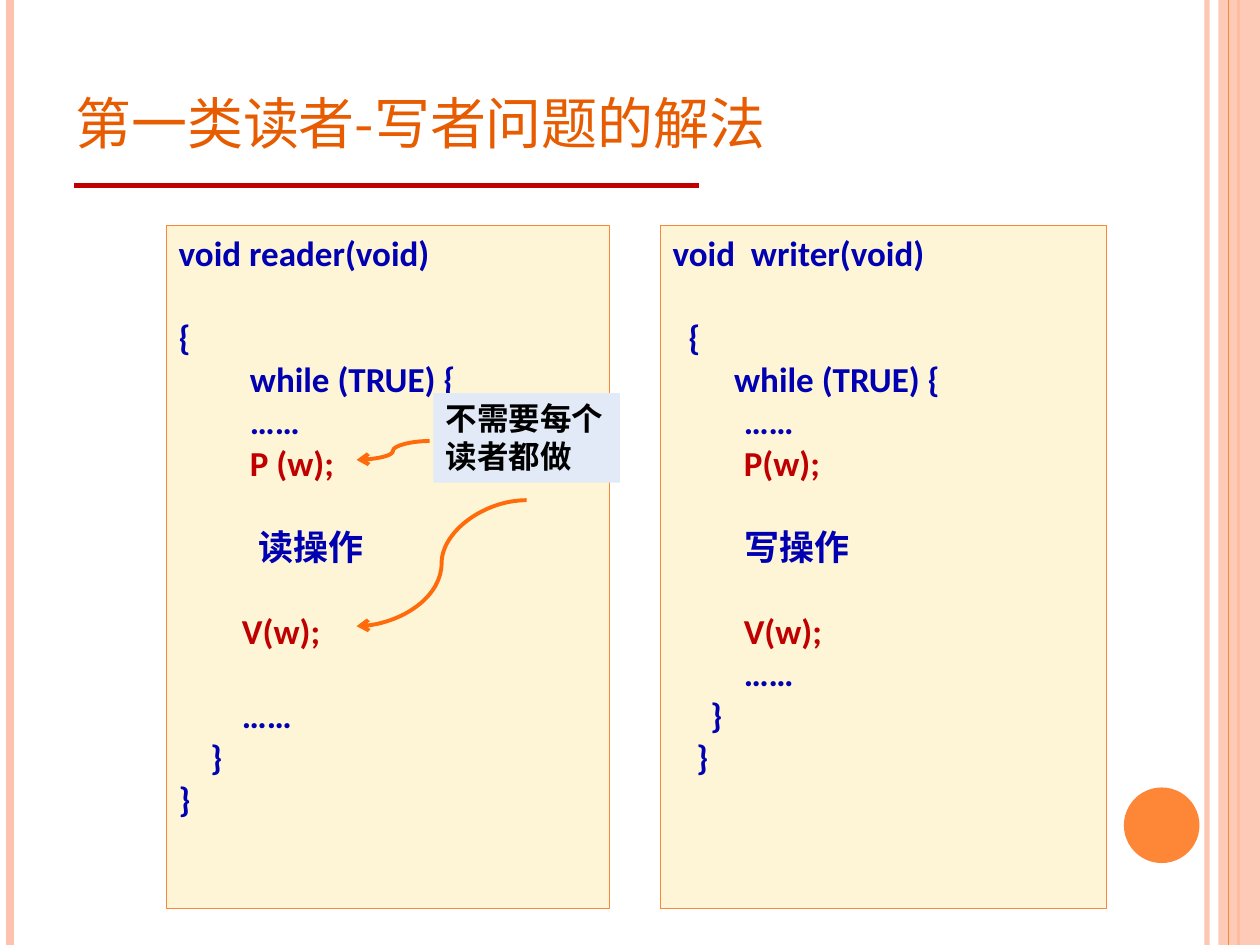
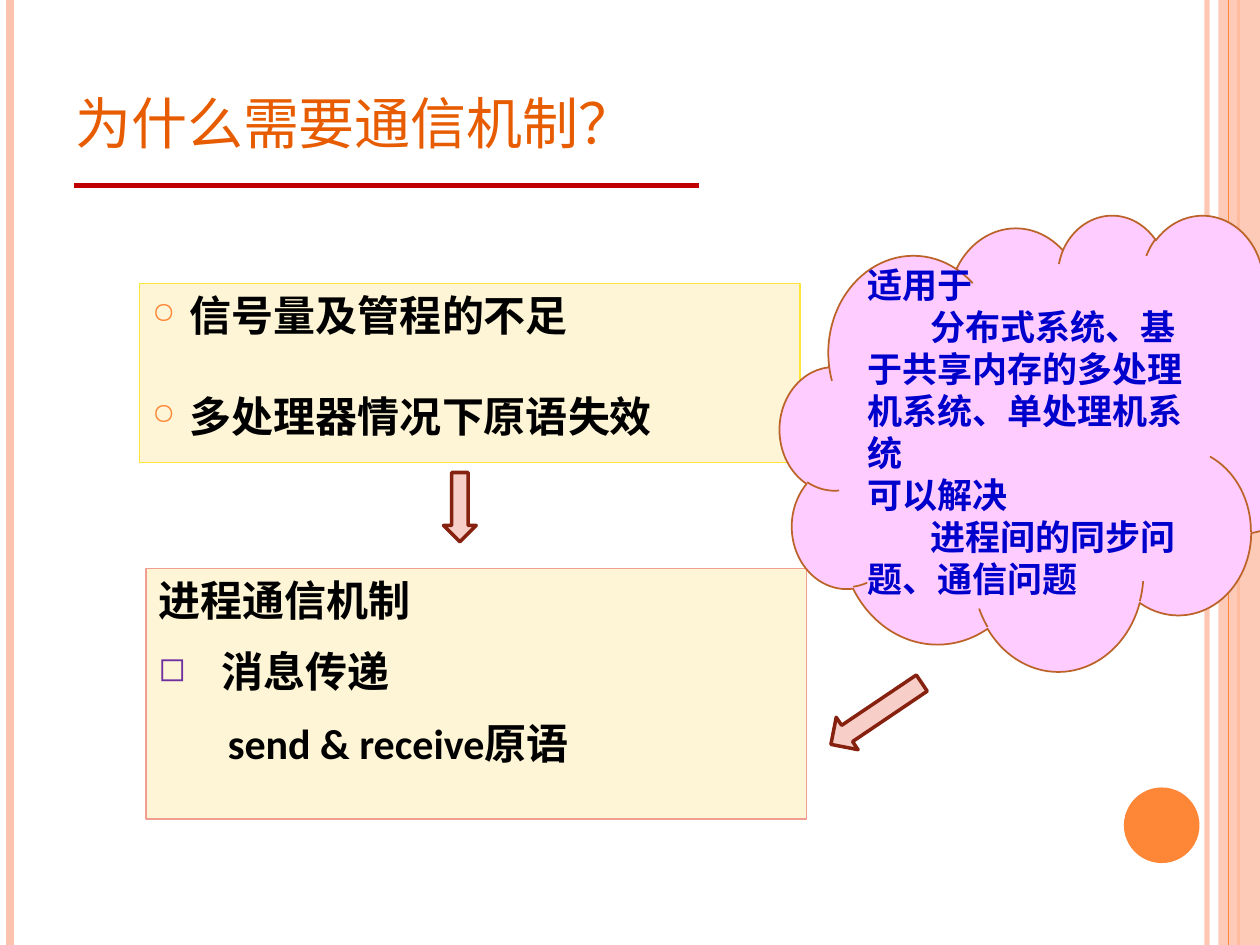
from pptx import Presentation
from pptx.dml.color import RGBColor
from pptx.enum.shapes import MSO_CONNECTOR as Link, MSO_SHAPE as Kind
from pptx.enum.text import MSO_ANCHOR as Anchor, PP_ALIGN as Align
from pptx.oxml.ns import qn
from pptx.util import Inches, Pt
from lxml.etree import SubElement

ORANGE = RGBColor(0xFE, 0x86, 0x37)
PEACH = RGBColor(0xFE, 0xC3, 0xAE)
RUST = RGBColor(0xE7, 0x5C, 0x01)
RED = RGBColor(0xC0, 0x00, 0x00)
NAVY = RGBColor(0x00, 0x00, 0xB2)
BLUE = RGBColor(0x00, 0x00, 0xCC)
BLACK = RGBColor(0x00, 0x00, 0x00)
CREAM = RGBColor(0xFD, 0xF5, 0xD5)
ICE = RGBColor(0xE3, 0xEA, 0xF7)
YELLOW = RGBColor(0xFF, 0xE6, 0x36)
ROSE = RGBColor(0xF1, 0x9E, 0x91)
BLUSH = RGBColor(0xF8, 0xCF, 0xC8)
MAROON = RGBColor(0x86, 0x21, 0x10)
PINK = RGBColor(0xFF, 0xCC, 0xFF)
BROWN = RGBColor(0xBC, 0x63, 0x29)
FLAME = RGBColor(0xFF, 0x6B, 0x0A)
PURPLE = RGBColor(0x70, 0x30, 0xA0)

LATIN, HAN = "Calibri", "Noto Sans CJK SC"
LEAD = 1.2  # line pitch as a multiple of the text size

READER = """void reader(void)

{
         while (TRUE) {
         ……
         P (w);

          读操作

        V(w);

        ……
    }
}"""

WRITER = """void  writer(void)

  {
\t   while (TRUE) {
         ……
         P(w);

         写操作

         V(w);
         ……
\t}
   }"""


def fade(fill, share):
    """Make a solid fill opaque by the given percentage."""
    color = fill._xPr.find(qn("a:solidFill"))[0]
    SubElement(color, qn("a:alpha"), val=str(share * 1000))


class Deck:
    def __init__(self):
        self.prs = Presentation()
        self.prs.slide_width, self.prs.slide_height = Inches(10), Inches(7.5)
        self.slide = None

    def page(self, title):
        """Start a slide with its title, rule and side bands."""
        self.slide = self.prs.slides.add_slide(self.prs.slide_layouts[5])
        for x, color, width, share in ((9.58, PEACH, 3, 93), (0.08, PEACH, 4.5, 100),
                                       (9.83, ORANGE, 1.5, 100)):
            line = self.line((x, 0), (x, 7.5), color, width)
            fade(line.line.fill, share)
        band = self.shape(Kind.RECTANGLE, (9.67, 0, 0.33, 7.5), PEACH)
        fade(band.fill, 87)
        self.line((9.75, 0), (9.75, 7.5), ORANGE, 0.75)
        self.shape(Kind.OVAL, (8.92, 6.25, 0.6, 0.6), ORANGE)
        self.line((0.59, 1.47), (5.55, 1.47), RED, 3)
        self.title(title)

    def title(self, text):
        head = self.slide.shapes.title
        head.left, head.top = Inches(0.5), Inches(0.3)
        head.width, head.height = Inches(8.17), Inches(1.01)
        head.text_frame.text = text
        head.text_frame.vertical_anchor = Anchor.BOTTOM
        para = head.text_frame.paragraphs[0]
        para.alignment = Align.LEFT
        font = para.runs[0].font
        font.name, font.size, font.color.rgb = HAN, Pt(40), RUST
        font._element.set("cap", "small")

    def line(self, start, end, color, width, kind=Link.STRAIGHT):
        ends = [Inches(v) for v in (*start, *end)]
        line = self.slide.shapes.add_connector(kind, *ends)
        line.line.color.rgb, line.line.width = color, Pt(width)
        SubElement(line._element.spPr, qn("a:effectLst"))
        return line

    def curve(self, start, end):
        """Draw a curved arrow."""
        line = self.line(start, end, FLAME, 2.25, Link.CURVE)
        SubElement(line.line._get_or_add_ln(), qn("a:tailEnd"), type="arrow")

    def shape(self, kind, area, fill, edge=None, width=0.75, turn=0):
        shape = self.slide.shapes.add_shape(kind, *[Inches(v) for v in area])
        shape.shadow.inherit = False
        shape.fill.solid()
        shape.fill.fore_color.rgb = fill
        if edge is None:
            shape.line.fill.background()
        else:
            shape.line.color.rgb, shape.line.width = edge, Pt(width)
        shape.rotation = turn
        return shape

    def box(self, area, fill, edge=None, kind=Kind.RECTANGLE, width=0.75, anchor=Anchor.TOP):
        """Add a shape and return its text frame."""
        frame = self.shape(kind, area, fill, edge, width).text_frame
        frame.word_wrap, frame.vertical_anchor = True, anchor
        return frame

    def para(self, frame, text, size, color=BLACK, face=HAN, left=0, first=0,
             gap=0, mark=None):
        """Add a paragraph; mark is a bullet's sign, colour and size."""
        para = frame.paragraphs[0]
        if para.runs:
            para = frame.add_paragraph()
        para.add_run().text = text
        props = para._p.get_or_add_pPr()
        props.set("marL", str(Inches(left)))
        props.set("indent", str(Inches(first)))
        if mark:
            sign, tint, share = mark
            SubElement(SubElement(props, qn("a:buClr")), qn("a:srgbClr"), val=str(tint))
            SubElement(props, qn("a:buSzPct"), val=str(share * 1000))
            SubElement(props, qn("a:buChar"), char=sign)
        para.alignment = Align.LEFT
        para.line_spacing = Pt(LEAD * size)
        if gap:
            para.space_before = Pt(gap)
        font = para.font
        font.name, font.size, font.bold = face, Pt(size), True
        font.color.rgb = color

    def code(self, area, text):
        """Show a listing, with semaphore calls in red and empty lines as space."""
        frame, size, gap = self.box(area, CREAM, ORANGE), 20, 0
        for row in text.split("\n"):
            if not row:
                gap += LEAD * size
                continue
            color = RED if row.strip().endswith("(w);") else NAVY
            self.para(frame, row, size, color, LATIN, 0.3, -0.3, gap)
            gap = 0


def solve(deck):
    deck.page("第一类读者-写者问题的解法")
    deck.code((1.32, 1.79, 3.52, 5.42), READER)
    deck.code((5.24, 1.79, 3.54, 5.42), WRITER)
    note = deck.box((3.44, 3.12, 1.48, 0.71), ICE)
    deck.para(note, "不需要每个读者都做", 18)
    deck.curve((3.41, 3.5), (2.83, 3.65))
    deck.curve((4.18, 3.97), (2.83, 4.97))


def reason(deck):
    deck.page("为什么需要通信机制？")
    size = 24
    ring = ("○", ORANGE, 70)
    flaws = deck.box((1.11, 2.25, 5.24, 1.42), CREAM, YELLOW)
    for text, gap in (("信号量及管程的不足", 0), ("多处理器情况下原语失效", LEAD * size)):
        deck.para(flaws, text, size, left=0.3, first=-0.3, gap=gap, mark=ring)

    means = deck.box((1.16, 4.51, 5.24, 1.99), CREAM, ROSE)
    deck.para(means, "进程通信机制", size, face=LATIN)
    deck.para(means, "消息传递", size, face=LATIN, left=0.5, first=-0.5, gap=12,
              mark=("◻", PURPLE, 80))
    deck.para(means, "send & receive原语", size, face=LATIN, left=0.55, gap=12)

    for area, turn in (((3.52, 3.75, 0.26, 0.55), 0), ((6.8, 5.23, 0.31, 0.87), 56)):
        deck.shape(Kind.DOWN_ARROW, area, BLUSH, MAROON, 2, turn)

    cloud = deck.box((6.19, 1.7, 4.32, 3.62), PINK, BROWN, Kind.CLOUD, 1, Anchor.MIDDLE)
    for text, first in (("适用于", 0),
                        ("分布式系统、基于共享内存的多处理机系统、单处理机系统", 0.5),
                        ("可以解决", 0),
                        ("进程间的同步问题、通信问题", 0.5)):
        deck.para(cloud, text, 20, BLUE, first=first)


def main():
    deck = Deck()
    solve(deck)
    reason(deck)
    deck.prs.save("out.pptx")


if __name__ == "__main__":
    main()
